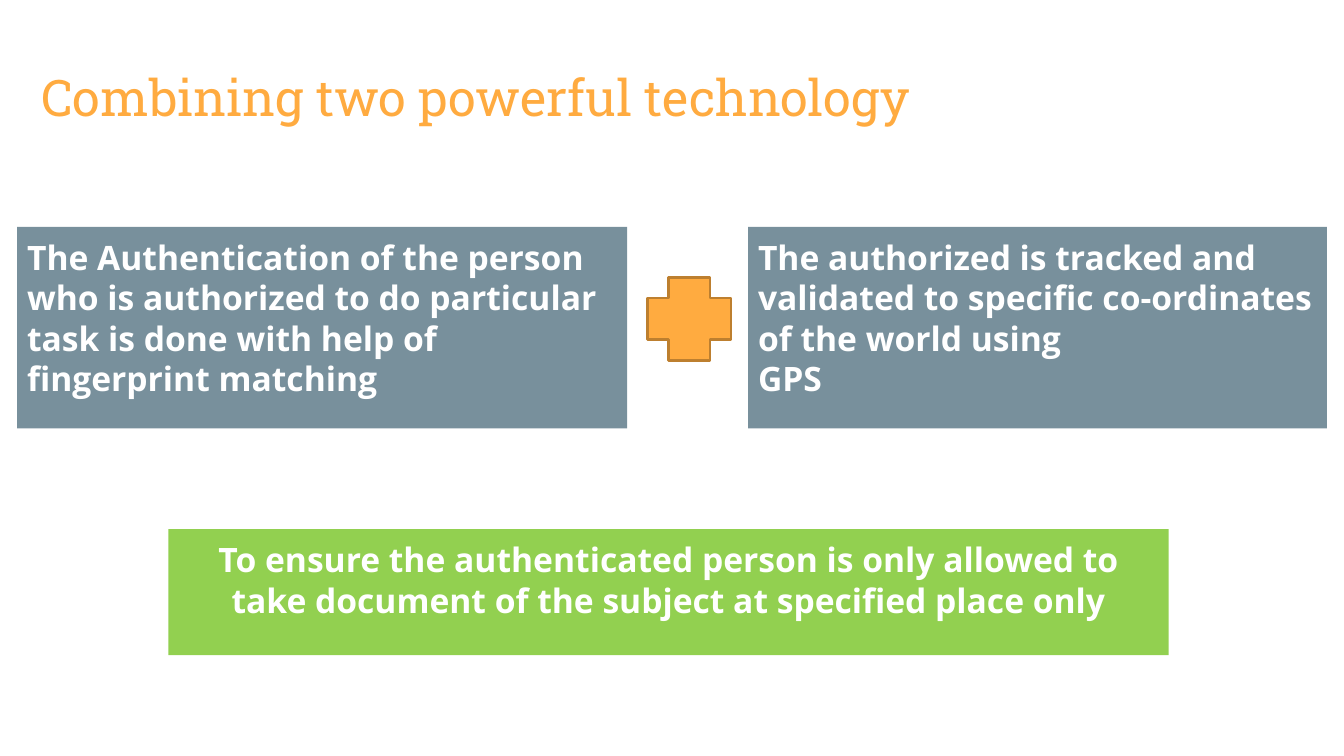
from pptx import Presentation, util as u
from pptx.dml.color import RGBColor
from pptx.enum import shapes, text

ORANGE = RGBColor(0xFF, 0xAB, 0x40)
BROWN = RGBColor(0xBD, 0x7F, 0x2F)
SLATE = RGBColor(0x78, 0x90, 0x9C)
GREEN = RGBColor(0x92, 0xD0, 0x50)
WHITE = RGBColor(0xFF, 0xFF, 0xFF)


def write(shape, lines, font, size, color, bold, align, anchor, inset):
    """Fill a shape with evenly formatted paragraphs."""
    frame = shape.text_frame
    frame.word_wrap = True
    frame.vertical_anchor = anchor
    frame.margin_left = frame.margin_right = u.Inches(inset)
    frame.margin_top = frame.margin_bottom = u.Inches(inset)
    frame.text = "\n".join(lines)
    for paragraph in frame.paragraphs:
        paragraph.alignment = align
        for run in paragraph.runs:
            run.font.name = font
            run.font.size = u.Pt(size)
            run.font.bold = bold
            run.font.color.rgb = color


def add_title(slide, box, title):
    """Place the slide title at the bottom of its box."""
    shape = slide.shapes.add_textbox(*map(u.Inches, box))
    write(shape, [title], "Roboto Slab", 36, ORANGE, False,
          text.PP_ALIGN.LEFT, text.MSO_ANCHOR.BOTTOM, 0.13)


def add_filled(slide, box, kind, fill):
    """Place a flat filled shape without outline."""
    shape = slide.shapes.add_shape(kind, *map(u.Inches, box))
    shape.shadow.inherit = False
    shape.fill.solid()
    shape.fill.fore_color.rgb = fill
    shape.line.fill.background()
    return shape


def add_panel(slide, box, fill, lines, align=text.PP_ALIGN.LEFT):
    """Place a coloured panel with bold white text."""
    panel = add_filled(slide, box, shapes.MSO_SHAPE.RECTANGLE, fill)
    write(panel, lines, "Open Sans", 24, WHITE, True,
          align, text.MSO_ANCHOR.TOP, 0.1)


def add_combination(slide, box):
    """Place two technology panels joined by a plus sign."""
    left, top, width, height = box
    left_width, right_width, plus_size = 6.05, 5.74, 0.83
    add_panel(slide, (left, top, left_width, height), SLATE,
              ["The Authentication of the person who is authorized to do "
               "particular task is done with help of fingerprint matching"])
    add_panel(slide, (left + width - right_width, top, right_width, height), SLATE,
              ["The authorized is tracked and validated to specific "
               "co-ordinates of the world using", "GPS"])
    plus = add_filled(slide, (left + left_width + 0.2, top + height / 4,
                              plus_size, plus_size),
                      shapes.MSO_SHAPE.CROSS, ORANGE)
    plus.line.color.rgb = BROWN
    plus.line.width = u.Pt(2)


def main():
    """Build and save the slide."""
    presentation = Presentation()
    presentation.slide_width = u.Inches(13.33)
    presentation.slide_height = u.Inches(7.5)
    slide = presentation.slides.add_slide(presentation.slide_layouts[6])
    add_title(slide, (0.28, 0.29, 10.27, 1.1), "Combining two powerful technology")
    add_combination(slide, (0.17, 2.25, 12.99, 2))
    add_panel(slide, (1.67, 5.25, 9.92, 1.25), GREEN,
              ["To ensure the authenticated person is only allowed to take "
               "document of the subject at specified place only"],
              text.PP_ALIGN.CENTER)
    presentation.save("out.pptx")


if __name__ == "__main__":
    main()
